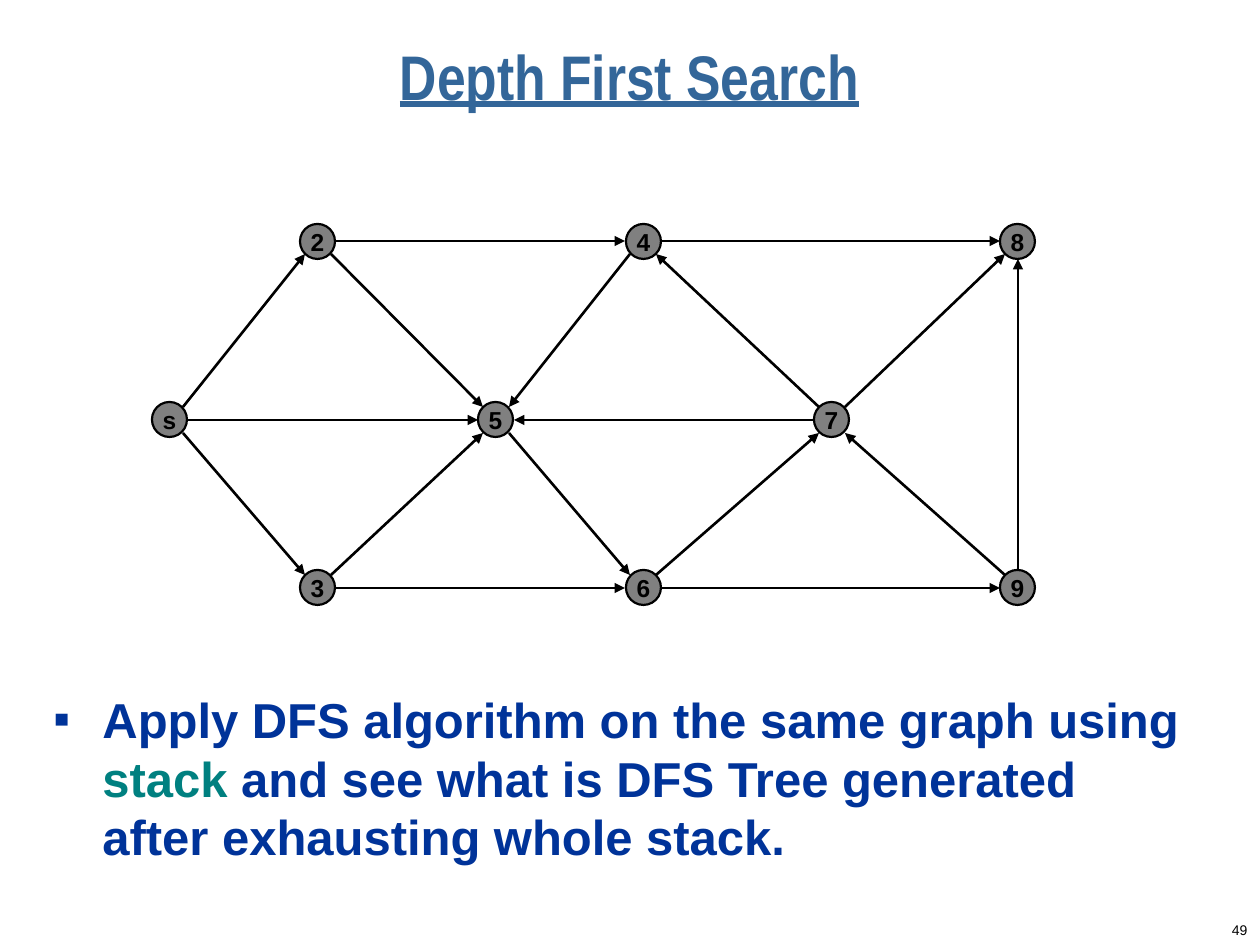
import pptx
import pptx.dml.color
import pptx.enum.shapes
import pptx.enum.text
import pptx.oxml.ns
import pptx.util
from lxml import etree

PX = 914400 // 126
COLORS = {
    "title": "336699",
    "body": "003399",
    "accent": "008080",
    "node": "808080",
    "ink": "000000",
}
NODE_SIZE = 35
STRAIGHT_GAP = 18  # edge end to node centre along a row or column
DIAGONAL_GAP = 13  # the same on each axis for a slanted edge

# Node centres
TOP, MIDDLE, BOTTOM = 241, 420, 588
NODES = {
    "s": (170, MIDDLE),
    "2": (318, TOP),
    "3": (318, BOTTOM),
    "5": (496, MIDDLE),
    "4": (643, TOP),
    "6": (643, BOTTOM),
    "7": (832, MIDDLE),
    "8": (1018, TOP),
    "9": (1018, BOTTOM),
}
# Directed edges: source and target
EDGES = ["s2", "s5", "s3", "24", "25", "35", "36", "48", "45", "56",
         "67", "69", "74", "75", "78", "97", "98"]


def px(value):
    return pptx.util.Emu(value * PX)


def rgb(name):
    return pptx.dml.color.RGBColor.from_string(COLORS[name])


def set_font(font, size, color, name="Arial", bold=False):
    font.name = name
    font.size = pptx.util.Pt(size)
    font.bold = bold
    font.color.rgb = rgb(color)


def add_text_box(slide, left, top, width, height, wrap=True):
    frame = slide.shapes.add_textbox(px(left), px(top), px(width), px(height)).text_frame
    frame.word_wrap = wrap
    return frame


def add_title(slide, text):
    frame = add_text_box(slide, 73, 32, 1113, 105)
    frame.vertical_anchor = pptx.enum.text.MSO_ANCHOR.MIDDLE
    paragraph = frame.paragraphs[0]
    paragraph.text = text
    paragraph.alignment = pptx.enum.text.PP_ALIGN.CENTER
    paragraph.line_spacing = 0.7
    set_font(paragraph.font, 36, "title", "Arial Narrow", bold=True)
    paragraph.font.underline = True


def add_node(slide, label, center):
    left, top = (round(position - NODE_SIZE / 2) for position in center)
    shape = slide.shapes.add_shape(
        pptx.enum.shapes.MSO_SHAPE.OVAL, px(left), px(top), px(NODE_SIZE), px(NODE_SIZE))
    shape.shadow.inherit = False
    shape.fill.solid()
    shape.fill.fore_color.rgb = rgb("node")
    shape.line.color.rgb = rgb("ink")
    shape.line.width = pptx.util.Pt(1.25)
    frame = shape.text_frame
    frame.word_wrap = False
    frame.vertical_anchor = pptx.enum.text.MSO_ANCHOR.MIDDLE
    paragraph = frame.paragraphs[0]
    paragraph.text = label
    paragraph.alignment = pptx.enum.text.PP_ALIGN.CENTER
    set_font(paragraph.font, 14, "ink", bold=True)


def sign(value):
    return (value > 0) - (value < 0)


def add_edge(slide, source, target):
    (x1, y1), (x2, y2) = NODES[source], NODES[target]
    step_x, step_y = sign(x2 - x1), sign(y2 - y1)
    gap = DIAGONAL_GAP if step_x and step_y else STRAIGHT_GAP
    connector = slide.shapes.add_connector(
        pptx.enum.shapes.MSO_CONNECTOR.STRAIGHT,
        px(x1 + step_x * gap), px(y1 + step_y * gap),
        px(x2 - step_x * gap), px(y2 - step_y * gap))
    connector.line.color.rgb = rgb("ink")
    connector.line.width = pptx.util.Pt(1.5)
    # Arrowhead at the target, no shadow
    qn = pptx.oxml.ns.qn
    properties = connector._element.spPr
    etree.SubElement(properties.find(qn("a:ln")), qn("a:tailEnd"), type="triangle")
    etree.SubElement(properties, qn("a:effectLst"))


def add_bullet(paragraph, character, color, percent):
    qn = pptx.oxml.ns.qn
    properties = paragraph._p.get_or_add_pPr()
    indent = px(48)
    properties.set("marL", str(indent))
    properties.set("indent", str(-indent))
    bullet_color = etree.SubElement(properties, qn("a:buClr"))
    etree.SubElement(bullet_color, qn("a:srgbClr"), val=COLORS[color])
    etree.SubElement(properties, qn("a:buSzPct"), val=str(percent * 1000))
    etree.SubElement(properties, qn("a:buFont"), typeface="Arial")
    etree.SubElement(properties, qn("a:buChar"), char=character)


def add_task(slide, parts):
    paragraph = add_text_box(slide, 42, 683, 1155, 210).paragraphs[0]
    add_bullet(paragraph, "■", "body", 50)
    for text, color in parts:
        run = paragraph.add_run()
        run.text = text
        set_font(run.font, 28, color, bold=True)


def add_page_number(slide, number):
    frame = add_text_box(slide, 998, 914, 262, 31, wrap=False)
    frame.vertical_anchor = pptx.enum.text.MSO_ANCHOR.MIDDLE
    paragraph = frame.paragraphs[0]
    paragraph.text = number
    paragraph.alignment = pptx.enum.text.PP_ALIGN.RIGHT
    set_font(paragraph.font, 8, "ink")


def main():
    presentation = pptx.Presentation()
    presentation.slide_width = pptx.util.Inches(10)
    presentation.slide_height = pptx.util.Inches(7.5)
    slide = presentation.slides.add_slide(presentation.slide_layouts[6])

    add_page_number(slide, "49")
    add_title(slide, "Depth First Search")

    # Directed graph
    for label, center in NODES.items():
        add_node(slide, label, center)
    for source, target in EDGES:
        add_edge(slide, source, target)

    # Exercise
    add_task(slide, [
        ("Apply DFS algorithm on the same graph using ", "body"),
        ("stack", "accent"),
        (" and see what is DFS Tree generated after exhausting whole stack.", "body"),
    ])
    presentation.save("out.pptx")


if __name__ == "__main__":
    main()
